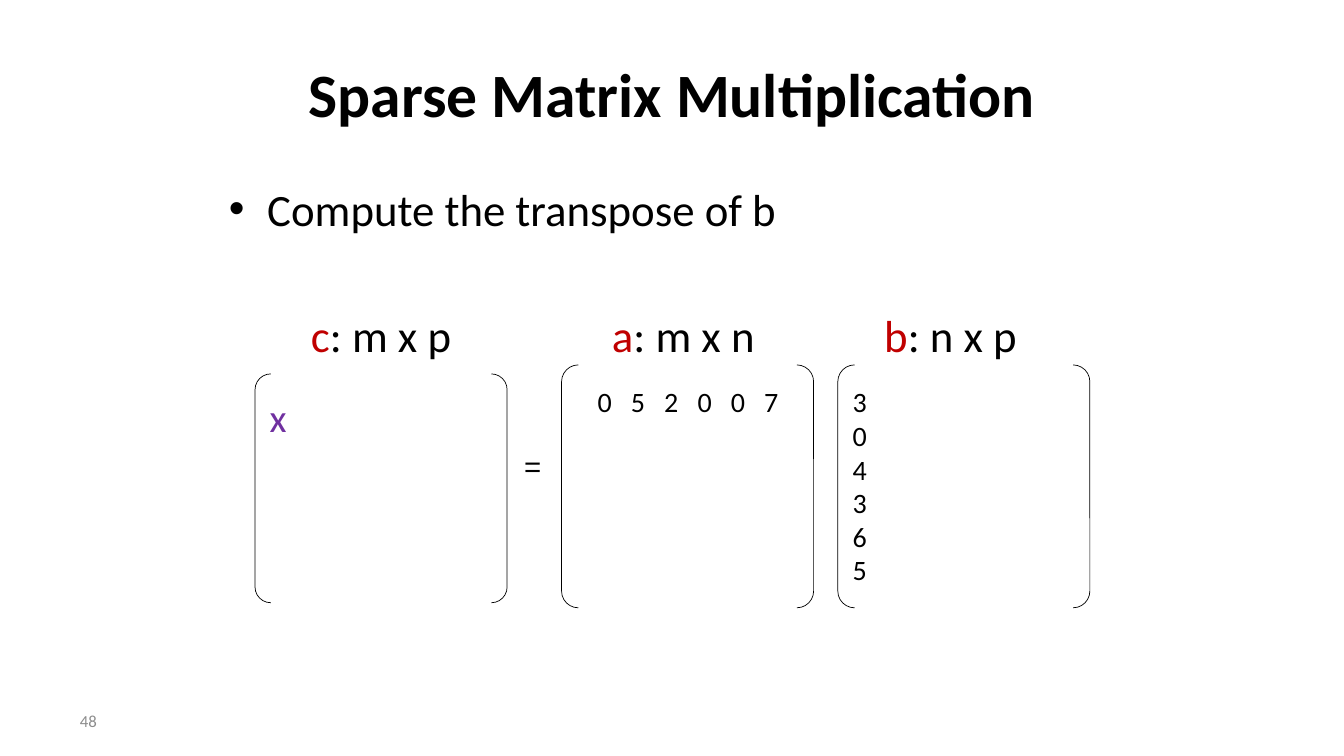
from pptx import Presentation
from pptx.dml.color import RGBColor
from pptx.enum.shapes import MSO_SHAPE
from pptx.enum.text import MSO_ANCHOR, MSO_AUTO_SIZE, PP_ALIGN
from pptx.oxml.ns import qn
from pptx.util import Inches, Pt
from lxml.etree import SubElement

COLORS = {"text": "000000", "name": "C00000", "entry": "7030A0", "number": "8C8C8C"}
TITLE = "Sparse Matrix Multiplication"
BULLET = "Compute the transpose of b"
RESULT_LABEL = [("c", "name"), (": m x p", "text")]
FACTOR_LABELS = [("a", "name"), (": m x n\t", "text"), ("b", "name"), (": n x p", "text")]
A_ROW = [0, 5, 2, 0, 0, 7]
B_COLUMN = [3, 0, 4, 3, 6, 5]
PAGE = "48"

COLUMN = {"c": 2.53, "a": 5.57, "b": 8.31}
MATRIX_WIDTH = 2.5
LABEL_TOP, LABEL_HEIGHT = 3, 0.64
RESULT_ROW, FACTOR_ROW = (3.71, 2.27), (3.62, 2.41)
DIGIT_PITCH = 0.33

MATRICES = [
    ("a", FACTOR_ROW, ["\t".join(map(str, A_ROW))],
     dict(size=20, inset=(0.31, 0.15), tabs=[DIGIT_PITCH * step for step in range(1, len(A_ROW))])),
    ("b", FACTOR_ROW, [str(digit) for digit in B_COLUMN], dict(size=20, inset=(0.1, 0.15))),
    ("c", RESULT_ROW, ["x"], dict(size=28, color="entry", inset=(0.1, 0.15))),
]


def write(shape, lines, size, font="Calibri", color="text", bold=False, align=PP_ALIGN.LEFT,
          anchor=MSO_ANCHOR.TOP, inset=(0.1, 0.05), bullet=None, tabs=()):
    frame = shape.text_frame
    frame.word_wrap = True
    frame.auto_size = MSO_AUTO_SIZE.NONE
    frame.vertical_anchor = anchor
    frame.margin_left, frame.margin_top = map(Inches, inset)
    frame.margin_right, frame.margin_bottom = Inches(0.1), Inches(inset[1])
    for index, line in enumerate(lines):
        paragraph = frame.add_paragraph() if index else frame.paragraphs[0]
        paragraph.alignment = align
        paragraph.space_before = Pt(0)
        properties = paragraph._p.get_or_add_pPr()
        if bullet:
            properties.set("marL", str(Inches(0.38)))
            properties.set("indent", str(-Inches(0.38)))
            SubElement(properties, qn("a:buFont"), typeface="Arial")
            SubElement(properties, qn("a:buChar"), char=bullet)
        if tabs:
            tab_list = SubElement(properties, qn("a:tabLst"))
            for position in tabs:
                SubElement(tab_list, qn("a:tab"), pos=str(Inches(position)), algn="l")
        for text, run_color in [(line, color)] if isinstance(line, str) else line:
            run = paragraph.add_run()
            run.text = text
            run.font.name, run.font.size, run.font.bold = font, Pt(size), bold
            run.font.color.rgb = RGBColor.from_string(COLORS[run_color])


def place(shape, *box):
    shape.left, shape.top, shape.width, shape.height = map(Inches, box)
    return shape


def add_text(slide, box, lines, **style):
    write(slide.shapes.add_textbox(*map(Inches, box)), lines, **style)


def add_matrix(slide, name, row, lines, style):
    top, height = row
    box = (COLUMN[name], top, MATRIX_WIDTH, height)
    shape = slide.shapes.add_shape(MSO_SHAPE.DOUBLE_BRACKET, *map(Inches, box))
    shape.adjustments[0] = 0.069
    shape.shadow.inherit = False
    shape.fill.background()
    shape.line.color.rgb = RGBColor.from_string(COLORS["text"])
    shape.line.width = Pt(0.5)
    write(shape, lines, **style)


def main():
    presentation = Presentation()
    presentation.slide_width, presentation.slide_height = Inches(13.33), Inches(7.5)
    slide = presentation.slides.add_slide(presentation.slide_layouts[1])

    write(place(slide.shapes.title, 0.67, 0.3, 12, 1.25), [TITLE], size=44, bold=True,
          align=PP_ALIGN.CENTER, anchor=MSO_ANCHOR.MIDDLE)
    write(place(slide.placeholders[1], 2.17, 1.75, 9, 4.95), [BULLET], size=32, bullet="•")

    for matrix in MATRICES:
        add_matrix(slide, *matrix)

    factors_width = COLUMN["b"] + MATRIX_WIDTH - COLUMN["a"]
    add_text(slide, (COLUMN["c"], LABEL_TOP, MATRIX_WIDTH, LABEL_HEIGHT), [RESULT_LABEL],
             size=32, align=PP_ALIGN.CENTER)
    add_text(slide, (COLUMN["a"], LABEL_TOP, factors_width, LABEL_HEIGHT), [FACTOR_LABELS],
             size=32, inset=(0.5, 0.05), tabs=[2.7])
    add_text(slide, (5.1, 4.4, 0.39, 0.47), ["="], size=21, font="Arial")
    add_text(slide, (0, 6.95, 1.06, 0.4), [PAGE], size=12, color="number",
             align=PP_ALIGN.RIGHT, anchor=MSO_ANCHOR.MIDDLE)
    presentation.save("out.pptx")


if __name__ == "__main__":
    main()
